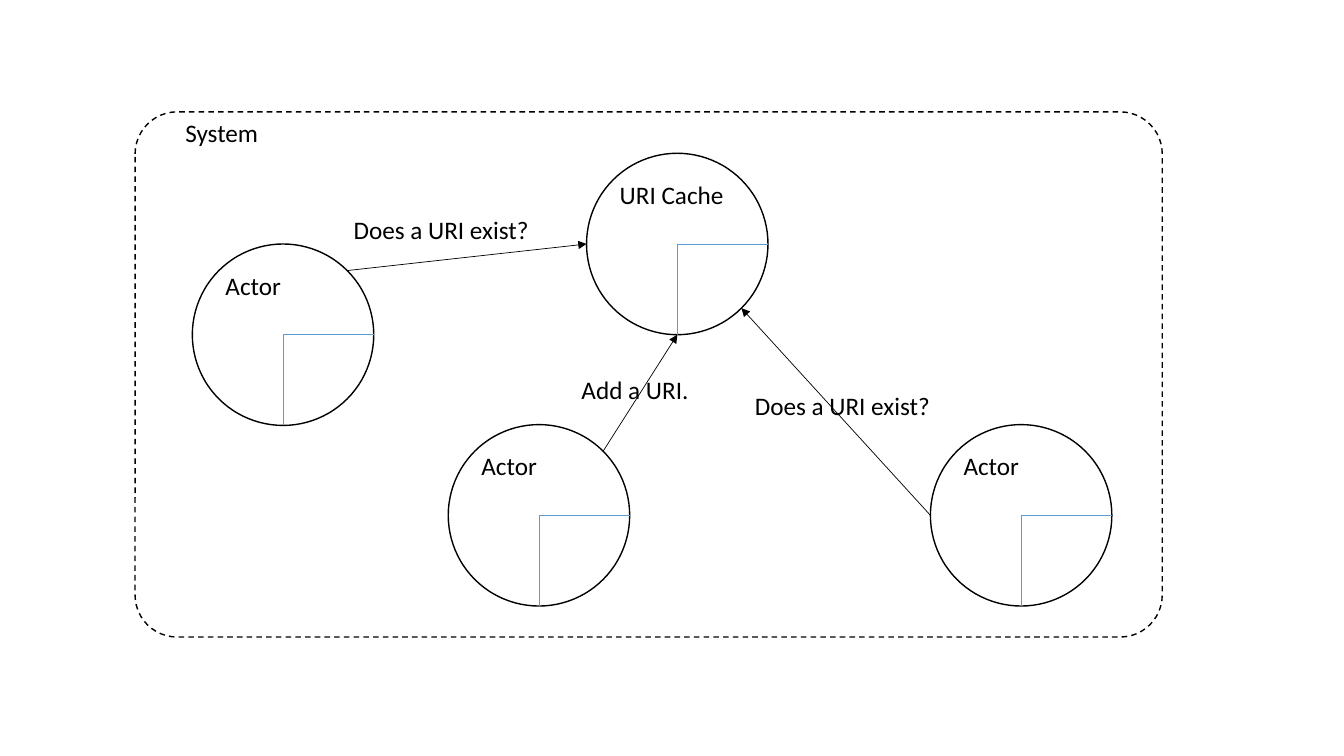
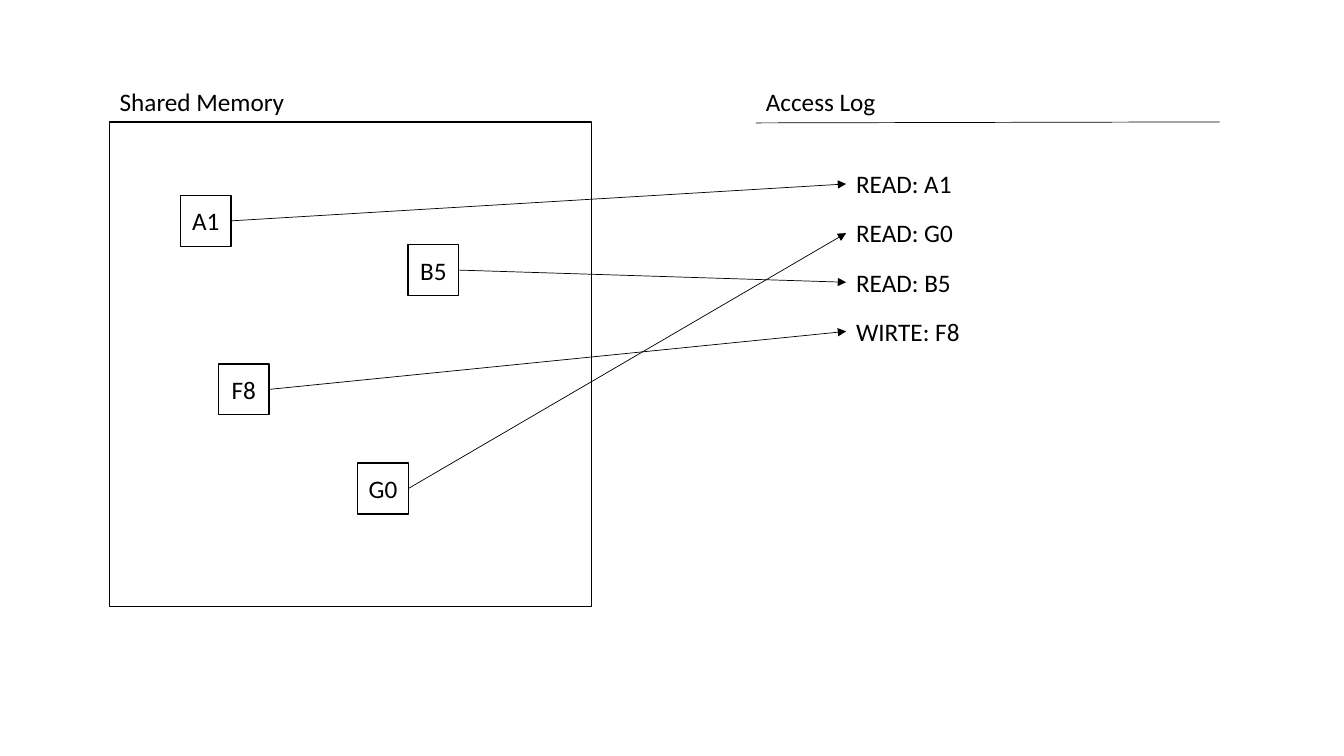
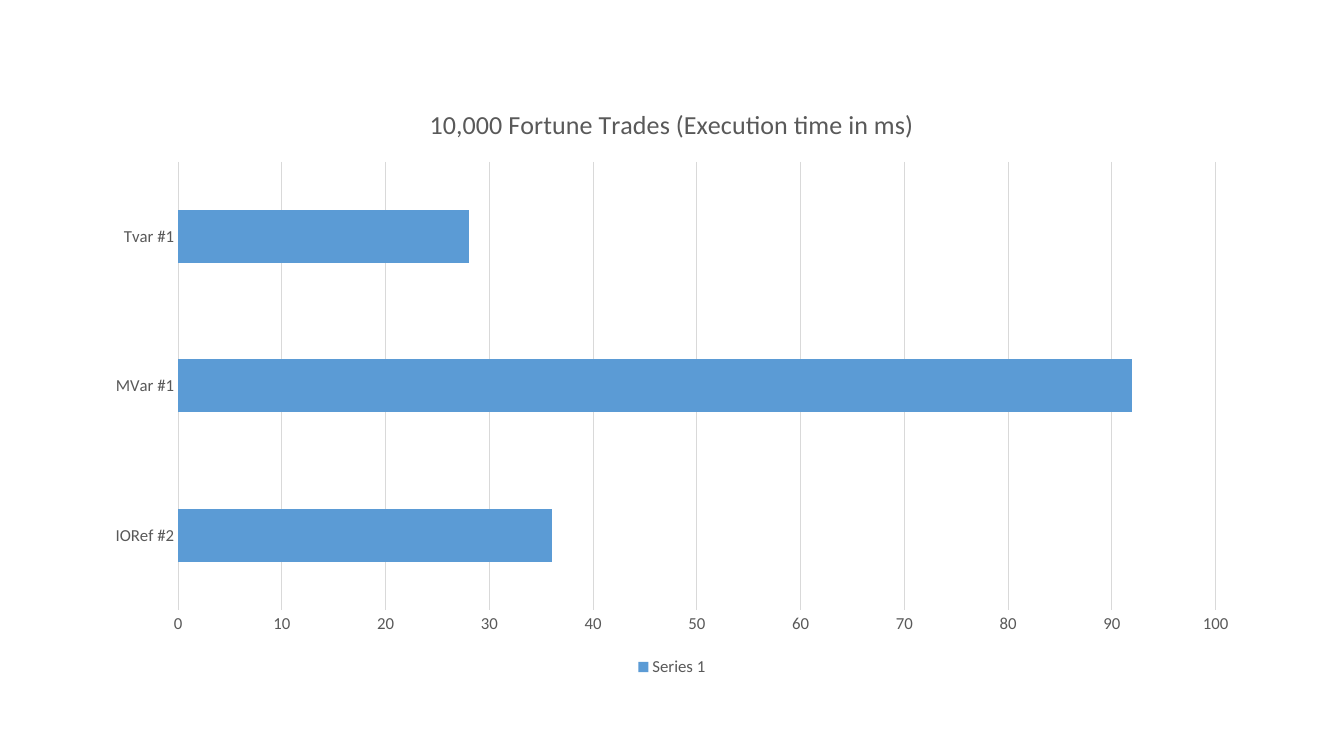
import math

from lxml import etree
from pptx import Presentation
from pptx.chart.data import CategoryChartData
from pptx.dml.color import RGBColor
from pptx.enum.chart import XL_CHART_TYPE, XL_LEGEND_POSITION, XL_TICK_MARK
from pptx.enum.dml import MSO_LINE
from pptx.enum.shapes import MSO_CONNECTOR, MSO_SHAPE
from pptx.enum.text import MSO_ANCHOR, MSO_AUTO_SIZE, PP_ALIGN
from pptx.oxml.ns import qn
from pptx.util import Pt

RECT, OVAL, ROUND = MSO_SHAPE.RECTANGLE, MSO_SHAPE.OVAL, MSO_SHAPE.ROUNDED_RECTANGLE
STRAIGHT, DASH = MSO_CONNECTOR.STRAIGHT, MSO_LINE.DASH
MIDDLE, CENTER, GROW = MSO_ANCHOR.MIDDLE, PP_ALIGN.CENTER, MSO_AUTO_SIZE.SHAPE_TO_FIT_TEXT
BAR, BOTTOM, NO_TICK = XL_CHART_TYPE.BAR_CLUSTERED, XL_LEGEND_POSITION.BOTTOM, XL_TICK_MARK.NONE
LEFT_SITE, RIGHT_SITE = 1, 3


class Theme:
    font = "Calibri"
    ink = RGBColor(0, 0, 0)
    paper = RGBColor(255, 255, 255)
    blue = RGBColor(0x5B, 0x9B, 0xD5)
    gray = RGBColor(0x59, 0x59, 0x59)
    grid = RGBColor(0xD9, 0xD9, 0xD9)
    body, title, axis, chart = 18, 18.6, 12, 10
    edge, thin, hair = 1, 0.5, 0.75
    row = 29      # height of a one-line label
    disc = 129.6  # diameter of an actor
    cell = 36.3   # side of a memory cell


def style(font, size, color):
    font.name, font.size, font.color.rgb = Theme.font, Pt(size), color


def stroke(line, color, width):
    line.color.rgb = color
    line.width = Pt(width)


def box(slide, kind, x, y, w, h):
    """White shape with a black outline."""
    shape = slide.shapes.add_shape(kind, Pt(x), Pt(y), Pt(w), Pt(h))
    shape.shadow.inherit = False
    shape.fill.solid()
    shape.fill.fore_color.rgb = Theme.paper
    stroke(shape.line, Theme.ink, Theme.edge)
    return shape


def write(shape, text):
    frame = shape.text_frame
    frame.text = text
    frame.word_wrap = False
    style(frame.paragraphs[0].runs[0].font, Theme.body, Theme.ink)
    return frame


def label(slide, text, x, y, w):
    shape = slide.shapes.add_textbox(Pt(x), Pt(y), Pt(w), Pt(Theme.row))
    write(shape, text).auto_size = GROW
    return shape


def link(slide, start=(0, 0), end=(0, 0), head=True):
    """Thin straight line, with an arrowhead at its end if wanted."""
    line = slide.shapes.add_connector(STRAIGHT, *map(Pt, (*start, *end)))
    stroke(line.line, Theme.ink, Theme.thin)
    props = line._element.spPr
    if head:
        etree.SubElement(props.find(qn("a:ln")), qn("a:tailEnd"), type="triangle")
    etree.SubElement(props, qn("a:effectLst"))
    return line


def rim(spot, angle):
    """Point on an actor's edge, in degrees clockwise from the right."""
    r, turn = Theme.disc / 2, math.radians(angle)
    return spot[0] + r + r * math.cos(turn), spot[1] + r + r * math.sin(turn)


def actor(slide, text, spot, w):
    """Circle with a name and a blue corner for its inner state."""
    x, y = spot
    box(slide, OVAL, x, y, Theme.disc, Theme.disc)
    label(slide, text, x + 16.6, y + 15.1, w)
    right, foot = rim(spot, 0), rim(spot, 90)
    path = slide.shapes.build_freeform(Pt(right[0]), Pt(right[1]))
    path.add_line_segments([(Pt(foot[0]), Pt(right[1])), (Pt(foot[0]), Pt(foot[1]))], close=False)
    corner = path.convert_to_shape()
    corner.shadow.inherit = False
    corner.fill.background()
    stroke(corner.line, Theme.blue, Theme.thin)


def actors(slide):
    # System frame
    frame = box(slide, ROUND, 96.5, 79.9, 733.7, 375.1)
    frame.adjustments[0] = 0.08
    frame.line.dash_style = DASH
    label(slide, "System", 125.3, 79.9, 67)

    # Actors around the cache
    west, cache, east, south = (137.4, 174.3), (419, 109.5), (664.6, 303.3), (320.2, 303.3)
    actor(slide, "URI Cache", cache, 89.3)
    for spot in (west, east, south):
        actor(slide, "Actor", spot, 54.7)

    # Messages to the cache
    for start, out, into in ((west, -45, 180), (south, -45, 90), (east, 180, 45)):
        link(slide, rim(start, out), rim(cache, into))
    ask = "Does a URI exist?"
    for text, x, y, w in ((ask, 532.1, 275, 141), (ask, 245.5, 149.2, 141),
                          ("Add a URI.", 408.3, 263.7, 91.4)):
        label(slide, text, x, y, w)


def memory(slide):
    # Memory block and log heading
    box(slide, RECT, 78.4, 87.1, 344.2, 346.2)
    label(slide, "Shared Memory", 78.4, 57.9, 137.5)
    label(slide, "Access Log", 540, 57.9, 93.6)
    link(slide, (540, 87.8), (871.2, 87.1), head=False)

    # Memory cells
    cells = {}
    for name, x, y in (("A1", 128.8, 139.6), ("B5", 291.4, 174.8),
                       ("F8", 156, 260), ("G0", 255.4, 330.8)):
        cells[name] = box(slide, RECT, x, y, Theme.cell, Theme.cell)
        frame = write(cells[name], name)
        frame.vertical_anchor = MIDDLE
        frame.paragraphs[0].alignment = CENTER

    # Log entries, each joined to its cell
    log = (("READ", "A1", 83.5), ("READ", "G0", 84.2), ("READ", "B5", 82.8), ("WIRTE", "F8", 89.3))
    for i, (verb, name, w) in enumerate(log):
        entry = label(slide, f"{verb}: {name}", 604.4, 116.9 + 35.1 * i, w)
        line = link(slide)
        line.begin_connect(cells[name], RIGHT_SITE)
        line.end_connect(entry, LEFT_SITE)


def trades(slide):
    # Data and chart
    data = CategoryChartData()
    data.categories = ["IORef #2", "MVar #1", "Tvar #1"]
    data.add_series("Series 1", (36, 92, 28))
    chart = slide.shapes.add_chart(BAR, Pt(66), Pt(60.5), Pt(828), Pt(426), data).chart
    style(chart.font, Theme.chart, Theme.ink)

    # Title and legend
    chart.has_title = True
    frame = chart.chart_title.text_frame
    frame.text = "10,000 Fortune Trades (Execution time in ms)"
    font = frame.paragraphs[0].runs[0].font
    style(font, Theme.title, Theme.gray)
    font.bold = False
    chart.has_legend = True
    chart.legend.position = BOTTOM
    chart.legend.include_in_layout = False
    style(chart.legend.font, Theme.axis, Theme.gray)

    # Bars
    plot = chart.plots[0]
    plot.gap_width = 182
    plot.vary_by_categories = False
    fill = plot.series[0].format.fill
    fill.solid()
    fill.fore_color.rgb = Theme.blue

    # Axes
    names, scale = chart.category_axis, chart.value_axis
    for axis in (names, scale):
        axis.major_tick_mark = axis.minor_tick_mark = NO_TICK
        style(axis.tick_labels.font, Theme.axis, Theme.gray)
    names.has_major_gridlines = False
    stroke(names.format.line, Theme.grid, Theme.hair)
    scale.minimum_scale, scale.maximum_scale, scale.major_unit = 0, 100, 10
    scale.format.line.fill.background()
    stroke(scale.major_gridlines.format.line, Theme.grid, Theme.hair)


def main():
    deck = Presentation()
    deck.slide_width, deck.slide_height = Pt(960), Pt(540)
    for draw in (actors, memory, trades):
        draw(deck.slides.add_slide(deck.slide_layouts[6]))
    deck.save("out.pptx")


if __name__ == "__main__":
    main()
